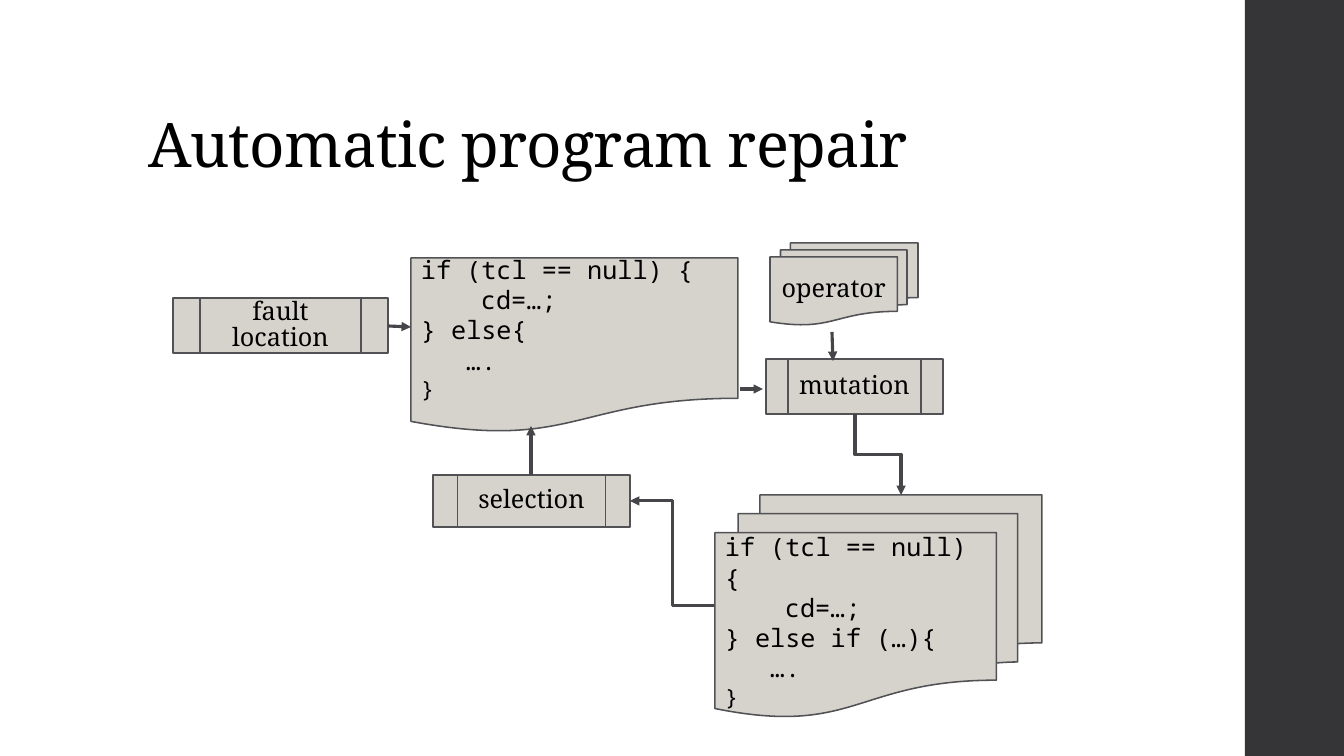
from dataclasses import dataclass

from lxml.etree import SubElement
from pptx import Presentation
from pptx.dml.color import RGBColor
from pptx.enum.shapes import MSO_CONNECTOR, MSO_SHAPE
from pptx.enum.text import MSO_ANCHOR, PP_ALIGN
from pptx.oxml.ns import qn
from pptx.util import Pt

EMU_PER_PX = 914400 / 100.8


@dataclass(frozen=True)
class Theme:
    """Colours, fonts and sizes of the slide."""
    ink: RGBColor = RGBColor.from_string("000000")
    sidebar: RGBColor = RGBColor.from_string("353537")
    fill: RGBColor = RGBColor.from_string("D6D3CC")
    outline: RGBColor = RGBColor.from_string("525256")
    arrow: RGBColor = RGBColor.from_string("46464A")
    serif: str = "Noto Serif"
    mono: str = "Noto Sans Mono"
    title_size: int = 44
    body_size: int = 18
    brace_size: int = 16
    outline_width: float = 1.1
    arrow_width: float = 2.25


@dataclass(frozen=True)
class Box:
    """A region in pixels; inner places are relative to its corner."""
    x: int
    y: int
    w: int
    h: int

    def inner(self, x, y, w, h):
        """Return a box placed inside this one."""
        return Box(self.x + x, self.y + y, w, h)

    def point(self, x, y):
        """Return a slide position for an inner point."""
        return self.x + x, self.y + y

    def emu(self):
        """Return left, top, width and height in EMU."""
        return [px(v) for v in (self.x, self.y, self.w, self.h)]


THEME = Theme()
LABEL = {"alignment": PP_ALIGN.CENTER, "line_spacing": 0.88}
CODE = {"alignment": PP_ALIGN.LEFT}
TITLE = {"alignment": PP_ALIGN.LEFT, "line_spacing": 0.9}


def px(value):
    """Turn pixels into EMU."""
    return round(value * EMU_PER_PX)


def apply(target, values):
    """Set each format value on the target."""
    for name, value in values.items():
        setattr(target, name, value)


def write(paragraph, text, font, size, layout):
    """Write one formatted line and return its run."""
    apply(paragraph, layout)
    run = paragraph.add_run()
    run.text = text
    apply(run.font, {"name": font, "size": Pt(size)})
    run.font.color.rgb = THEME.ink
    return run


def add_block(slide, box, kind, fill=THEME.fill, outline=THEME.outline):
    """Add a flat preset shape and return its text frame."""
    block = slide.shapes.add_shape(kind, *box.emu())
    block.shadow.inherit = False
    block.fill.solid()
    block.fill.fore_color.rgb = fill
    if outline is None:
        block.line.fill.background()
    else:
        block.line.color.rgb = outline
        block.line.width = Pt(THEME.outline_width)
    apply(block.text_frame, {"word_wrap": True, "vertical_anchor": MSO_ANCHOR.MIDDLE})
    return block.text_frame


def add_label(slide, box, kind, text):
    """Add a shape with a centred serif label."""
    frame = add_block(slide, box, kind)
    write(frame.paragraphs[0], text, THEME.serif, THEME.body_size, LABEL)


def add_code(slide, box, kind, else_line):
    """Add a document shape holding the code, indented in pixels."""
    frame = add_block(slide, box, kind)
    listing = [("if (tcl == null) {", 0, THEME.body_size),
               ("cd=…;", 60, THEME.body_size),
               (else_line, 0, THEME.body_size),
               ("….", 45, THEME.body_size),
               ("}", 0, THEME.brace_size)]
    for number, (text, indent, size) in enumerate(listing):
        paragraph = frame.add_paragraph() if number else frame.paragraphs[0]
        write(paragraph, text, THEME.mono, size, CODE)
        paragraph._p.get_or_add_pPr().set("marL", str(px(indent)))


def add_arrow(slide, start, end, kind=MSO_CONNECTOR.STRAIGHT, upright=False):
    """Add an arrow; an upright elbow leaves and arrives vertically."""
    if upright:
        mid_x, mid_y = ((a + b) / 2 for a, b in zip(start, end))
        half_x, half_y = ((b - a) / 2 for a, b in zip(start, end))
        start = mid_x + half_y, mid_y - half_x
        end = mid_x - half_y, mid_y + half_x
    arrow = slide.shapes.add_connector(kind, *map(px, (*start, *end)))
    arrow.line.color.rgb = THEME.arrow
    arrow.line.width = Pt(THEME.arrow_width)
    properties = arrow._element.spPr
    if upright:
        properties.find(qn("a:xfrm")).set("rot", str(270 * 60000))
    SubElement(properties.find(qn("a:ln")), qn("a:tailEnd"), type="triangle")
    SubElement(properties, qn("a:effectLst"))


def add_title(slide, box):
    """Add the heading, resting on the bottom of its box."""
    frame = slide.shapes.add_textbox(*box.emu()).text_frame
    apply(frame, {"word_wrap": True, "vertical_anchor": MSO_ANCHOR.BOTTOM})
    run = write(frame.paragraphs[0], "Automatic program repair",
                THEME.serif, THEME.title_size, TITLE)
    run.font._element.set("spc", "-50")


def add_fault_location(slide, box):
    """Add the fault location step and its arrow to the program."""
    add_label(slide, box.inner(0, 0, 215, 55),
              MSO_SHAPE.FLOWCHART_PREDEFINED_PROCESS, "fault location")
    add_arrow(slide, box.point(215, 28), box.point(box.w, 29))


def add_selection(slide, box):
    """Add the selection step with arrows from variants and to the program."""
    add_label(slide, box.inner(0, 49, 197, 52),
              MSO_SHAPE.FLOWCHART_PREDEFINED_PROCESS, "selection")
    add_arrow(slide, box.point(box.w, box.h), box.point(197, 75), MSO_CONNECTOR.ELBOW)
    add_arrow(slide, box.point(98, 49), box.point(98, 0), MSO_CONNECTOR.ELBOW, upright=True)


def add_mutation(slide, box):
    """Add the operators, the mutation step and the program variants."""
    add_label(slide, box.inner(51, 116, 177, 55),
              MSO_SHAPE.FLOWCHART_PREDEFINED_PROCESS, "mutation")
    add_label(slide, box.inner(55, 0, 148, 82),
              MSO_SHAPE.FLOWCHART_MULTIDOCUMENT, "operator")
    add_code(slide, box.inner(0, 252, box.w, 222),
             MSO_SHAPE.FLOWCHART_MULTIDOCUMENT, "} else if (…){")
    add_arrow(slide, box.point(140, 171), box.point(186, 252),
              MSO_CONNECTOR.ELBOW, upright=True)
    add_arrow(slide, box.point(25, 146), box.point(48, 146))
    add_arrow(slide, box.point(117, 89), box.point(118, 118))


def build_slide(slide, box):
    """Lay out the sidebar, the heading and the repair loop."""
    add_block(slide, box.inner(1245, 0, 99, box.h), MSO_SHAPE.RECTANGLE,
              THEME.sidebar, None)
    add_title(slide, box.inner(139, 40, 1068, 146))
    add_code(slide, box.inner(411, 258, 327, 175),
             MSO_SHAPE.FLOWCHART_DOCUMENT, "} else{")
    add_selection(slide, box.inner(433, 426, 282, 180))
    add_fault_location(slide, box.inner(173, 298, 238, 55))
    add_mutation(slide, box.inner(715, 243, 327, 474))


page = Box(0, 0, 1344, 756)
deck = Presentation()
apply(deck, {"slide_width": px(page.w), "slide_height": px(page.h)})
build_slide(deck.slides.add_slide(deck.slide_layouts[6]), page)
deck.save("out.pptx")
